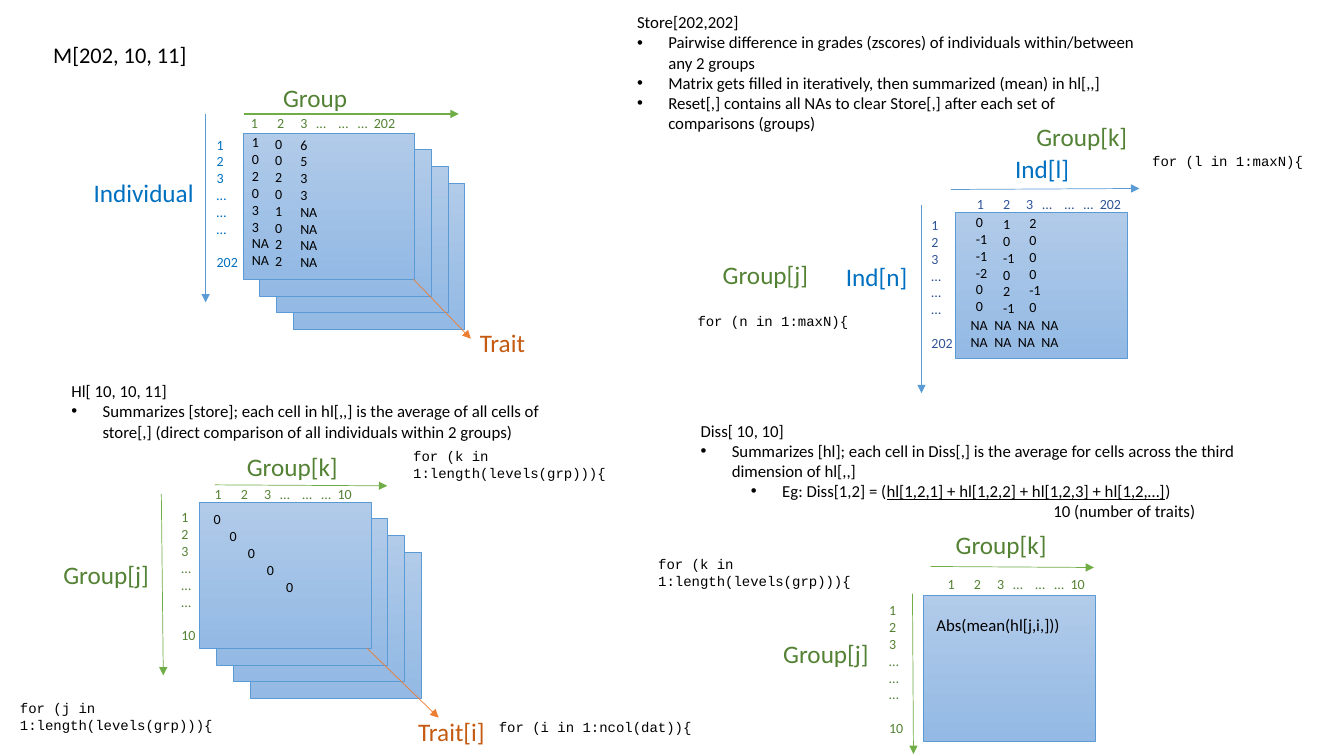
from dataclasses import dataclass

from lxml import etree
from pptx import Presentation
from pptx.dml.color import RGBColor
from pptx.enum.shapes import MSO_CONNECTOR, MSO_SHAPE
from pptx.enum.text import MSO_AUTO_SIZE
from pptx.oxml.ns import qn
from pptx.util import Inches, Pt

RECTANGLE = MSO_SHAPE.RECTANGLE
STRAIGHT = MSO_CONNECTOR.STRAIGHT
FIT_SHAPE = MSO_AUTO_SIZE.SHAPE_TO_FIT_TEXT

WIDTH, HEIGHT = Inches(13.33), Inches(7.5)
COLUMNS, ROWS = 1333, 750
MATRIX_COLUMNS, MATRIX_ROWS = 170, 145
STACK_STEP = 16.67

BLACK = RGBColor(0x00, 0x00, 0x00)
BLUE = RGBColor(0x00, 0x70, 0xC0)
NAVY = RGBColor(0x2F, 0x55, 0x97)
GREEN = RGBColor(0x54, 0x82, 0x35)
RUST = RGBColor(0xC5, 0x5A, 0x11)
BLUE_LINE = RGBColor(0x5B, 0x9B, 0xD5)
GREEN_LINE = RGBColor(0x70, 0xAD, 0x47)
ORANGE_LINE = RGBColor(0xED, 0x7D, 0x31)
MATRIX_LIGHT = RGBColor(0xB1, 0xCB, 0xE9)
MATRIX_DARK = RGBColor(0x93, 0xB9, 0xE4)

HEADER_OFFSETS = (0, 26, 49, 65, 87, 106, 122)
DIAGONAL_OFFSETS = (0, 16, 34, 53, 72)
MISSING_STEP = 23.33


@dataclass(frozen=True)
class Span:
    text: str
    underline: bool = False


@dataclass(frozen=True)
class Para:
    spans: tuple[Span, ...]
    margin: int = 0
    bullet: bool = False
    before: int = 0


@dataclass(frozen=True)
class Label:
    left: float
    top: int
    columns: int
    rows: int
    paras: tuple[Para, ...]
    size: int = 10
    color: RGBColor = BLACK
    font: str = "Calibri"
    wrap: bool = False


@dataclass(frozen=True)
class Matrix:
    left: int
    top: int
    layers: int = 1


@dataclass(frozen=True)
class Arrow:
    start: tuple[int, int]
    end: tuple[int, int]
    color: RGBColor
    weight: float = 0.5


def across(columns: float) -> int:
    return round(WIDTH * columns / COLUMNS)


def down(rows: float) -> int:
    return round(HEIGHT * rows / ROWS)


def plain(text: str, **layout) -> Para:
    return Para((Span(text),), **layout)


def point(text: str) -> Para:
    return plain(text, margin=31, bullet=True)


def title(left: int, top: int, columns: int, text: str, color: RGBColor) -> Label:
    return Label(left, top, columns, 40, (plain(text),), 18, color)


def code(left: int, top: int, columns: int, rows: int, text: str) -> Label:
    return Label(left, top, columns, rows, (plain(text),), font="Courier New", wrap=True)


def note(left: int, top: int, columns: int, rows: int, *paras: Para) -> Label:
    return Label(left, top, columns, rows, paras, 12, wrap=True)


def header(left: int, top: int, last: str, color: RGBColor) -> tuple[Label, ...]:
    names = ("1", "2", "3", "…", "…", "…", last)
    return tuple(Label(left + offset, top, 45, 27, (plain(name),), color=color, wrap=True)
                 for offset, name in zip(HEADER_OFFSETS, names))


def row_names(left: int, top: int, columns: int, last: str, color: RGBColor) -> Label:
    paras = tuple(plain(name) for name in "123………") + (plain(last, before=12),)
    return Label(left, top, columns, 145, paras, color=color)


def values(left: float, top: int, columns: int, rows: int, text: str) -> Label:
    return Label(left, top, columns, rows, tuple(plain(value) for value in text.split()))


def draw_matrix(page, matrix: Matrix) -> None:
    for layer in reversed(range(matrix.layers)):
        box = page.shapes.add_shape(
            RECTANGLE, across(matrix.left + layer * STACK_STEP), down(matrix.top + layer * STACK_STEP),
            across(MATRIX_COLUMNS), down(MATRIX_ROWS))
        box.shadow.inherit = False
        box.fill.gradient()
        box.fill.gradient_angle = 270
        for stop, color in zip(box.fill.gradient_stops, (MATRIX_LIGHT, MATRIX_DARK)):
            stop.color.rgb = color
        box.line.color.rgb = BLUE_LINE
        box.line.width = Pt(0.5)


def draw_arrow(page, arrow: Arrow) -> None:
    (x1, y1), (x2, y2) = arrow.start, arrow.end
    connector = page.shapes.add_connector(STRAIGHT, across(x1), down(y1), across(x2), down(y2))
    connector.line.color.rgb = arrow.color
    connector.line.width = Pt(arrow.weight)
    etree.SubElement(connector.line._get_or_add_ln(), qn("a:tailEnd"), type="triangle")
    etree.SubElement(connector._element.spPr, qn("a:effectLst"))


def format_para(paragraph, para: Para) -> None:
    paragraph.space_before = Pt(para.before)
    properties = paragraph._p.get_or_add_pPr()
    properties.set("marL", str(across(para.margin)))
    properties.set("indent", str(across(-31 if para.bullet else 0)))
    if para.bullet:
        etree.SubElement(properties, qn("a:buFont"), typeface="Arial")
        etree.SubElement(properties, qn("a:buChar"), char="•")


def draw_label(page, label: Label) -> None:
    box = page.shapes.add_textbox(
        across(label.left), down(label.top), across(label.columns), down(label.rows))
    frame = box.text_frame
    frame.word_wrap = label.wrap
    frame.auto_size = FIT_SHAPE
    for index, para in enumerate(label.paras):
        paragraph = frame.add_paragraph() if index else frame.paragraphs[0]
        format_para(paragraph, para)
        for span in para.spans:
            run = paragraph.add_run()
            run.text = span.text
            run.font.color.rgb = label.color
            formats = {"name": label.font, "size": Pt(label.size), "underline": span.underline}
            for name, value in formats.items():
                setattr(run.font, name, value)


MATRICES = (Matrix(241, 132, 4), Matrix(198, 498, 4), Matrix(948, 211), Matrix(916, 591))

ARROWS = (
    Arrow((204, 113), (204, 300), BLUE_LINE), Arrow((242, 113), (455, 113), GREEN_LINE, 1.5),
    Arrow((410, 277), (467, 336), ORANGE_LINE), Arrow((914, 203), (914, 390), BLUE_LINE),
    Arrow((943, 188), (1130, 187), BLUE_LINE), Arrow((160, 490), (162, 670), GREEN_LINE),
    Arrow((213, 481), (384, 482), GREEN_LINE), Arrow((364, 643), (435, 712), ORANGE_LINE),
    Arrow((923, 562), (1085, 563), GREEN_LINE), Arrow((905, 589), (906, 748), GREEN_LINE))

LABELS = (
    Label(43, 36, 416, 37, (plain("M[202, 10, 11]"),), 16, wrap=True),
    note(622, 7, 516, 131, plain("Store[202,202]"),
         point("Pairwise difference in grades (zscores) of individuals within/between any 2 groups"),
         point("Matrix gets filled in iteratively, then summarized (mean) in hl[,,]"),
         point("Reset[,] contains all NAs to clear Store[,] after each set of comparisons (groups)")),
    note(61, 373, 498, 71, plain("Hl[ 10, 10, 11]"),
         point("Summarizes [store]; each cell in hl[,,] is the average of all cells of store[,] "
               "(direct comparison of all individuals within 2 groups)")),
    note(685, 412, 583, 111, plain("Diss[ 10, 10]"),
         point("Summarizes [hl]; each cell in Diss[,] is the average for cells across the third "
               "dimension of hl[,,]"),
         Para((Span("Eg: Diss[1,2] = ("),
               Span("hl[1,2,1] + hl[1,2,2] + hl[1,2,3] + hl[1,2,…]", True), Span(")")), 81, True),
         plain("10 (number of traits)", margin=350)),
    Label(919, 605, 144, 30, (plain("Abs(mean(hl[j,i,]))"),), 12),
    title(271, 77, 84, "Group", GREEN), title(466, 320, 65, "Trait", RUST),
    title(83, 171, 121, "Individual", BLUE), title(829, 254, 82, "Ind[n]", BLUE),
    title(997, 147, 74, "Ind[l]", BLUE), title(405, 706, 87, "Trait[i]", RUST),
    *(title(left, top, 106, "Group[j]", GREEN) for left, top in ((707, 252), (53, 550), (767, 628))),
    *(title(left, top, 111, "Group[k]", GREEN) for left, top in ((1018, 115), (235, 443), (938, 520))),
    *header(239, 109, "202", GREEN), *header(959, 189, "202", NAVY),
    *header(203, 477, "10", GREEN), *header(930, 566, "10", GREEN),
    row_names(205, 130, 42, "202", BLUE), row_names(914, 210, 42, "202", NAVY),
    row_names(170, 500, 35, "10", GREEN), row_names(872, 592, 35, "10", GREEN),
    values(240, 128, 37, 145, "1 0 2 0 3 3 NA NA"), values(263, 129, 27, 145, "0 0 2 0 1 0 2 2"),
    values(288, 130, 37, 145, "6 5 3 3 NA NA NA NA"), values(958, 207, 32, 111, "0 -1 -1 -2 0 0"),
    values(985, 209, 32, 111, "1 0 -1 0 2 -1"), values(1011, 208, 32, 111, "2 0 0 0 -1 0"),
    *(values(953 + step * MISSING_STEP, 309, 37, 44, "NA NA") for step in range(4)),
    Label(202, 502, 100, 94, tuple(plain("0", margin=offset) for offset in DIAGONAL_OFFSETS), wrap=True),
    code(485, 708, 214, 27, "for (i in 1:ncol(dat)){"),
    code(10, 689, 237, 44, "for (j in 1:length(levels(grp))){"),
    code(400, 439, 237, 44, "for (k in 1:length(levels(grp))){"),
    code(643, 546, 237, 44, "for (k in 1:length(levels(grp))){"),
    code(1133, 146, 200, 27, "for (l in 1:maxN){"), code(682, 305, 237, 27, "for (n in 1:maxN){"))

deck = Presentation()
deck.slide_width, deck.slide_height = WIDTH, HEIGHT
page = deck.slides.add_slide(deck.slide_layouts[6])
for draw, items in ((draw_matrix, MATRICES), (draw_arrow, ARROWS), (draw_label, LABELS)):
    for item in items:
        draw(page, item)
deck.save("out.pptx")
